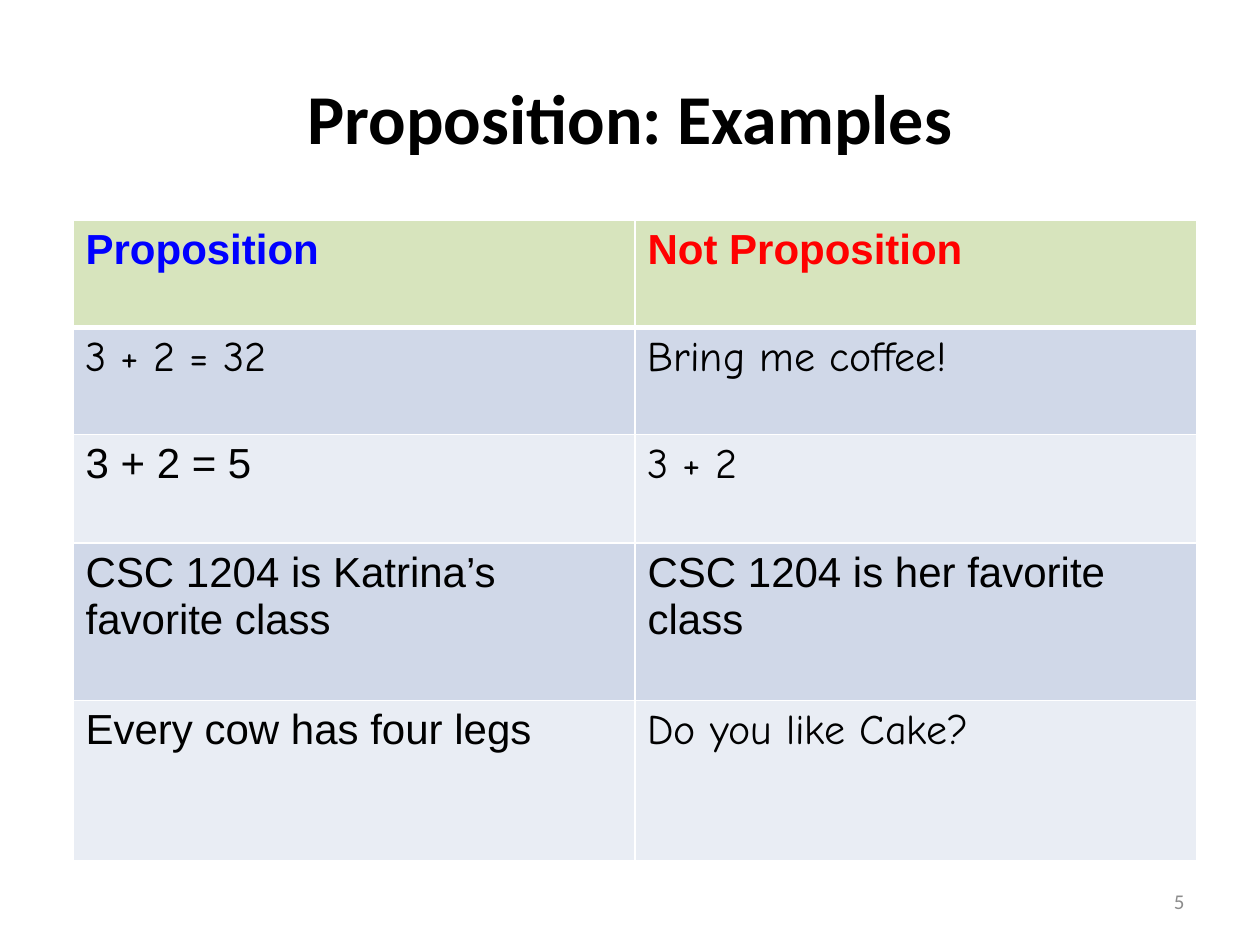
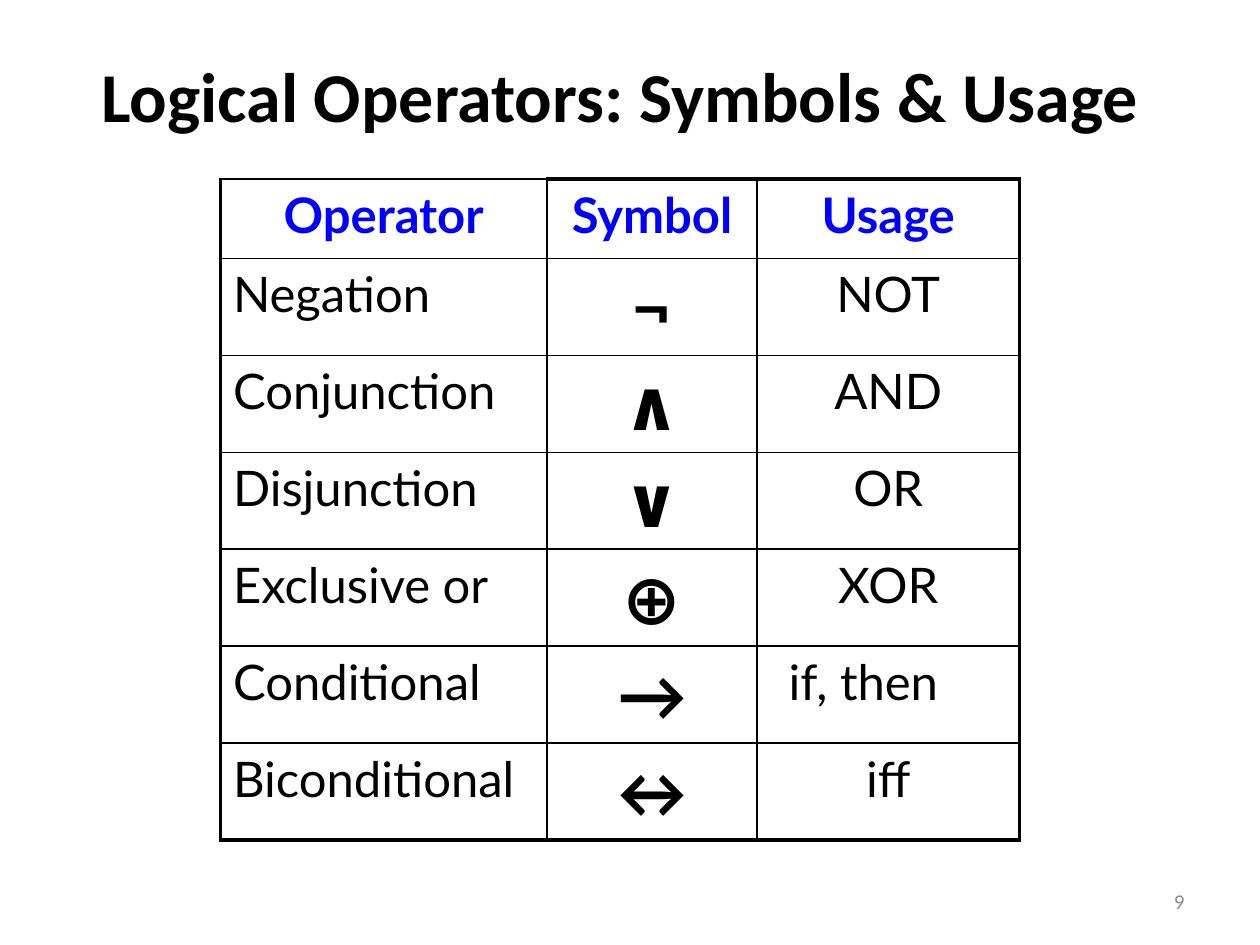
from dataclasses import dataclass

import pptx
import pptx.dml.color
import pptx.enum.text
import pptx.oxml
import pptx.oxml.ns
import pptx.util

Inches = pptx.util.Inches
ALIGN = pptx.enum.text.PP_ALIGN
ANCHOR = pptx.enum.text.MSO_ANCHOR


@dataclass(frozen=True)
class Theme:
    black: str = "000000"
    white: str = "FFFFFF"
    blue: str = "0000FF"
    red: str = "FF0000"
    grey: str = "8C8C8C"
    header_green: str = "D7E4BD"
    bands: tuple[str, str] = ("D0D8E8", "E9EDF4")
    main_font: str = "Calibri"
    examples_font: str = "Arial"
    hand_font: str = "Comic Neue"
    operators_font: str = "Lato"
    title_size: int = 40
    number_size: int = 12
    examples_size: int = 24
    operators_size: int = 28
    symbol_size: int = 40
    thin: float = 1
    medium: float = 2.25
    thick: float = 3


THEME = Theme()


@dataclass(frozen=True)
class TextStyle:
    font: str
    size: int
    color: str = THEME.black
    bold: bool = False
    align: ALIGN = ALIGN.LEFT


@dataclass(frozen=True)
class Box:
    left: float
    top: float
    width: float
    height: float


@dataclass(frozen=True)
class Borders:
    """Line widths in points, all of one colour."""
    color: str
    left: float = THEME.thin
    right: float = THEME.thin
    top: float = THEME.thin
    bottom: float = THEME.thin


TITLE = TextStyle(THEME.main_font, THEME.title_size, bold=True, align=ALIGN.CENTER)
NUMBER = TextStyle(THEME.main_font, THEME.number_size, THEME.grey, align=ALIGN.RIGHT)
NUMBER_BOX = Box(7.17, 6.95, 2.33, 0.4)


# Shared drawing functions
def write(frame, text: str, style: TextStyle) -> None:
    frame.text = text
    paragraph = frame.paragraphs[0]
    paragraph.alignment = style.align
    font = paragraph.runs[0].font
    font.name = style.font
    font.size = pptx.util.Pt(style.size)
    font.bold = style.bold
    font.color.rgb = pptx.dml.color.RGBColor.from_string(style.color)


def add_label(slide, box: Box, text: str, style: TextStyle) -> None:
    label = slide.shapes.add_textbox(
        Inches(box.left), Inches(box.top), Inches(box.width), Inches(box.height))
    label.text_frame.word_wrap = True
    label.text_frame.vertical_anchor = ANCHOR.MIDDLE
    write(label.text_frame, text, style)


def add_page(deck, title: str, title_box: Box, number: int):
    slide = deck.slides.add_slide(deck.slide_layouts[6])
    add_label(slide, title_box, title, TITLE)
    add_label(slide, NUMBER_BOX, str(number), NUMBER)
    return slide


def add_grid(slide, left: float, top: float, widths: list[float], heights: list[float]):
    grid = slide.shapes.add_table(
        len(heights), len(widths), Inches(left), Inches(top),
        Inches(sum(widths)), Inches(sum(heights))).table
    grid.first_row = grid.horz_banding = False
    for column, width in zip(grid.columns, widths):
        column.width = Inches(width)
    for row, height in zip(grid.rows, heights):
        row.height = Inches(height)
    return grid


def fill_cell(cell, text: str, style: TextStyle, borders: Borders,
              fill: str | None = None) -> None:
    write(cell.text_frame, text, style)
    # Borders have to precede the fill in the cell properties
    properties = cell._tc.get_or_add_tcPr()
    sides = {"L": borders.left, "R": borders.right, "T": borders.top, "B": borders.bottom}
    for side, width in sides.items():
        properties.append(pptx.oxml.parse_xml(
            f'<a:ln{side} {pptx.oxml.ns.nsdecls("a")} w="{pptx.util.Pt(width)}">'
            f'<a:solidFill><a:srgbClr val="{borders.color}"/></a:solidFill></a:ln{side}>'))
    if fill:
        cell.fill.solid()
        cell.fill.fore_color.rgb = pptx.dml.color.RGBColor.from_string(fill)
    else:
        cell.fill.background()


# Slide: examples of propositions
def build_examples(deck) -> None:
    slide = add_page(deck, "Proposition: Examples", Box(0.5, 0.3, 9, 1.25), 5)
    plain = TextStyle(THEME.examples_font, THEME.examples_size)
    hand = TextStyle(THEME.hand_font, THEME.examples_size)
    headings = [("Proposition", THEME.blue), ("Not Proposition", THEME.red)]
    examples = [
        (("3 + 2 = 32", hand), ("Bring me coffee!", hand)),
        (("3 + 2 = 5", plain), ("3 + 2", hand)),
        (("CSC 1204 is Katrina’s favorite class", plain),
         ("CSC 1204 is her favorite class", plain)),
        (("Every cow has four legs", plain), ("Do you like Cake?", hand)),
    ]
    grid = add_grid(slide, 0.58, 1.75, [4.46] * 2, [0.85, 0.85, 0.86, 1.25, 1.27])
    for column, (heading, color) in enumerate(headings):
        style = TextStyle(THEME.examples_font, THEME.examples_size, color, bold=True)
        fill_cell(grid.cell(0, column), heading, style,
                  Borders(THEME.white, bottom=THEME.thick), THEME.header_green)
    for row, pair in enumerate(examples, start=1):
        borders = Borders(THEME.white, top=THEME.thick if row == 1 else THEME.thin)
        for column, (example, style) in enumerate(pair):
            fill_cell(grid.cell(row, column), example, style, borders,
                      THEME.bands[(row - 1) % 2])


# Slide: logical operators
def build_operators(deck) -> None:
    slide = add_page(deck, "Logical Operators: Symbols & Usage",
                     Box(0.67, 0.25, 8.5, 1), 9)
    heading = TextStyle(THEME.operators_font, THEME.operators_size, THEME.blue,
                        True, ALIGN.CENTER)
    name = TextStyle(THEME.operators_font, THEME.operators_size)
    symbol = TextStyle(THEME.operators_font, THEME.symbol_size, bold=True,
                       align=ALIGN.CENTER)
    usage = TextStyle(THEME.operators_font, THEME.operators_size, align=ALIGN.CENTER)
    operators = [
        ("Operator", "Symbol", "Usage"),
        ("Negation", "¬", "NOT"),
        ("Conjunction", "∧", "AND"),
        ("Disjunction", "∨", "OR"),
        ("Exclusive or", "⊕", "XOR"),
        ("Conditional", "→", "if, then"),
        ("Biconditional", "↔", "iff"),
    ]
    grid = add_grid(slide, 1.75, 1.42, [2.59, 1.67, 2.08], [0.63] + [0.77] * 6)
    last_row = len(operators) - 1
    for row, texts in enumerate(operators):
        styles = (name, symbol, usage) if row else (heading,) * 3
        for column, (text, style) in enumerate(zip(texts, styles)):
            # The frame is heavier than the inner lines, save above the first heading
            borders = Borders(
                THEME.black,
                left=THEME.medium if column == 0 else THEME.thin,
                right=THEME.medium if column == 2 else THEME.thin,
                top=THEME.medium if row == 0 and column > 0 else THEME.thin,
                bottom=THEME.medium if row == last_row else THEME.thin)
            fill_cell(grid.cell(row, column), text, style, borders)
    # The conditional's usage is indented from the left
    conditional_usage = grid.cell(5, 2)
    conditional_usage.margin_left = Inches(0.25)
    conditional_usage.text_frame.paragraphs[0].alignment = ALIGN.LEFT


def main() -> None:
    deck = pptx.Presentation()
    deck.slide_width, deck.slide_height = Inches(10), Inches(7.5)
    build_examples(deck)
    build_operators(deck)
    deck.save("out.pptx")


if __name__ == "__main__":
    main()
